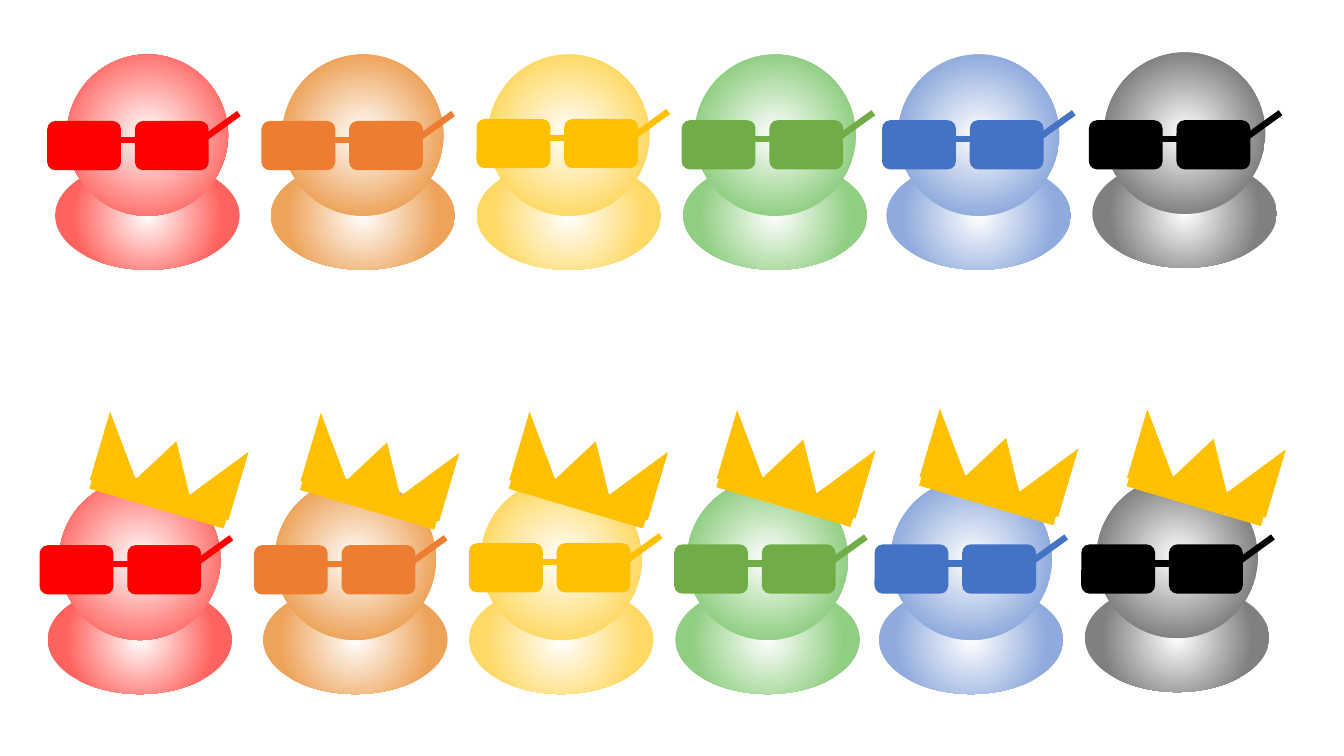
from collections import namedtuple
from lxml import etree
from pptx import Presentation
from pptx.dml.color import RGBColor
from pptx.enum import shapes
from pptx.oxml import parse_xml
from pptx.oxml.ns import nsdecls, qn
from pptx.util import Cm, Pt

THEME = {
    "centre": "FFFFFF",
    "crown": "FFC000",
    "frame_width": Pt(4.5),
}
KIND = shapes.MSO_SHAPE

# Places are (left, top) in cm; fades are where the white centre ends, in percent
Person = namedtuple("Person", "skin frame body glasses crown body_fade head_fade")
people = [
    Person("FF635F", "FF0000", (1.39, 4.06), (1.19, 3.05), (2.26, 12.25), 70, 80),
    Person("EDA35A", "ED7D31", (6.82, 4.06), (6.59, 3.05), (7.57, 12.28), 72, 72),
    Person("FFD966", "FFC000", (12.01, 4.06), (12.01, 3.0), (12.83, 12.25), 72, 72),
    Person("90CE82", "70AD47", (17.21, 4.06), (17.18, 3.03), (18.06, 12.21), 72, 72),
    Person("8FAADC", "4472C4", (22.34, 4.06), (22.23, 3.03), (23.17, 12.17), 72, 72),
    Person("808080", "000000", (27.53, 4.01), (27.44, 3.03), (28.4, 12.19), 71, 72),
]
CROWNED_SHIFT = (-0.19, 10.69)

# Parts, measured from the corner of the body, glasses or crown: dx, dy, width, height
BODY = (0, 0, 4.65, 2.74)
HEAD = (0.29, -2.69, 4.07, 4.07)
LENSES = [(dx, 0, 1.86, 1.24) for dx in (0, 2.21)]
FRAME_LINES = [(3.86, 0.51, 4.83, -0.19), (1.43, 0.48, 2.68, 0.48)]
CROWN_TILT = 16.5
CROWN_PARTS = [
    (KIND.RECTANGLE, (0, 0, 3.53, 0.58), False),
    (KIND.ISOSCELES_TRIANGLE, (1.19, -1.16, 1.6, 1.37), False),
    (KIND.RIGHT_TRIANGLE, (0.23, -1.72, 1.37, 1.8), False),
    (KIND.RIGHT_TRIANGLE, (2.41, -1.1, 1.37, 1.8), True),
]


def add_part(group, kind, corner, part, color):
    dx, dy, width, height = part
    shape = group.shapes.add_shape(
        kind, Cm(corner[0] + dx), Cm(corner[1] + dy), Cm(width), Cm(height))
    shape.shadow.inherit = False
    shape.line.fill.background()
    shape.fill.solid()
    shape.fill.fore_color.rgb = RGBColor.from_string(color)
    return shape


def glow_from_centre(shape, color, fade):
    solid = shape._element.spPr.find(qn("a:solidFill"))
    gradient = parse_xml(
        f'<a:gradFill {nsdecls("a")} rotWithShape="1"><a:gsLst>'
        f'<a:gs pos="0"><a:srgbClr val="{THEME["centre"]}"/></a:gs>'
        f'<a:gs pos="{fade * 1000}"><a:srgbClr val="{color}"/></a:gs></a:gsLst>'
        '<a:path path="circle">'
        '<a:fillToRect l="50000" t="50000" r="50000" b="50000"/></a:path></a:gradFill>')
    solid.getparent().replace(solid, gradient)


deck = Presentation()
deck.slide_width, deck.slide_height = Cm(33.87), Cm(19.05)
page = deck.slides.add_slide(deck.slide_layouts[6])

for crowned in (False, True):
    shift_x, shift_y = CROWNED_SHIFT if crowned else (0, 0)
    for person in people:
        group = page.shapes.add_group_shape()
        body = (person.body[0] + shift_x, person.body[1] + shift_y)
        glasses = (person.glasses[0] + shift_x, person.glasses[1] + shift_y)

        # Body and head
        for part, fade in ((BODY, person.body_fade), (HEAD, person.head_fade)):
            oval = add_part(group, KIND.OVAL, body, part, person.skin)
            glow_from_centre(oval, person.skin, fade)

        # Glasses: lenses, then temple and bridge
        for lens in LENSES:
            add_part(group, KIND.ROUNDED_RECTANGLE, glasses, lens, person.frame)
        for x1, y1, x2, y2 in FRAME_LINES:
            line = group.shapes.add_connector(
                shapes.MSO_CONNECTOR.STRAIGHT,
                Cm(glasses[0] + x1), Cm(glasses[1] + y1),
                Cm(glasses[0] + x2), Cm(glasses[1] + y2))
            line.line.color.rgb = RGBColor.from_string(person.frame)
            line.line.width = THEME["frame_width"]
            etree.SubElement(line._element.spPr, qn("a:effectLst"))

        # Crown
        if crowned:
            for kind, part, mirrored in CROWN_PARTS:
                piece = add_part(group, kind, person.crown, part, THEME["crown"])
                piece.rotation = CROWN_TILT
                if mirrored:
                    piece._element.spPr.find(qn("a:xfrm")).set("flipH", "1")

deck.save("out.pptx")
